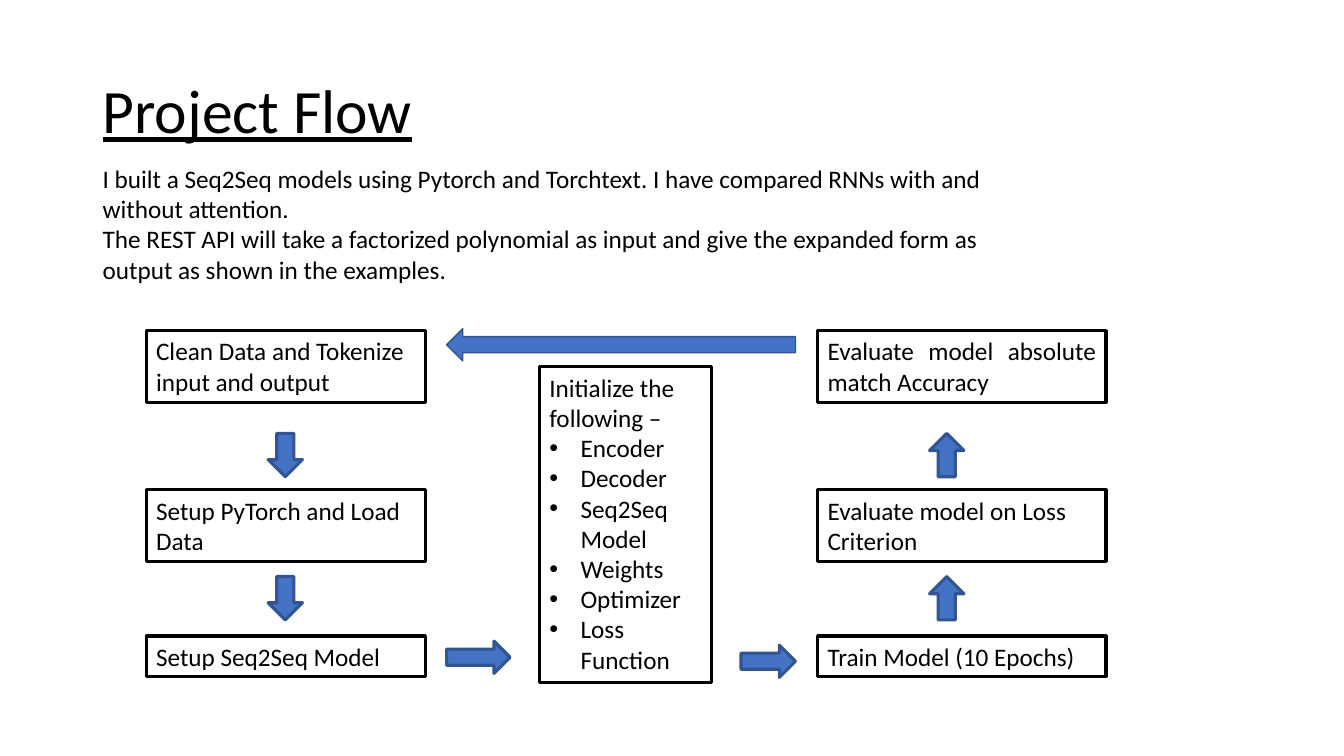
import pptx
import pptx.util
import pptx.dml.color
import pptx.enum.shapes
import pptx.enum.text
import lxml.etree

Inches = pptx.util.Inches
Pt = pptx.util.Pt
RGBColor = pptx.dml.color.RGBColor
SHAPE = pptx.enum.shapes.MSO_SHAPE
ALIGN = pptx.enum.text.PP_ALIGN
ANCHOR = pptx.enum.text.MSO_ANCHOR

# Content
TITLE = "Project Flow"
INTRODUCTION = [
    "I built a Seq2Seq models using Pytorch and Torchtext. "
    "I have compared RNNs with and without attention.",
    "The REST API will take a factorized polynomial as input and give "
    "the expanded form as output as shown in the examples.",
]
PREPARATION = [
    ("Clean Data and Tokenize input and output", ALIGN.LEFT),
    ("Setup PyTorch and Load Data", ALIGN.LEFT),
    ("Setup Seq2Seq Model", ALIGN.LEFT),
]
EVALUATION = [
    ("Evaluate model absolute match Accuracy", ALIGN.JUSTIFY),
    ("Evaluate model on Loss Criterion", ALIGN.LEFT),
    ("Train Model (10 Epochs)", ALIGN.JUSTIFY),
]
INITIALIZE = "Initialize the following –"
COMPONENTS = ["Encoder", "Decoder", "Seq2Seq Model", "Weights", "Optimizer", "Loss Function"]

THEME = {
    "font": "Calibri",
    "text": RGBColor(0, 0, 0),
    "arrow": RGBColor(0x44, 0x72, 0xC4),
    "arrow_line": RGBColor(0x32, 0x54, 0x91),
    "title_size": Pt(44),
    "body_size": Pt(18),
    "line": Pt(2.25),
    "thin_line": Pt(1),
}

# Layout in inches
ROWS = [(3.28, 0.71), (4.86, 0.71), (6.31, 0.4)]  # top, height
COLUMNS = [  # left, width, steps, arrow shape, arrow centre
    (1.45, 2.77, PREPARATION, SHAPE.DOWN_ARROW, 2.83),
    (8.11, 2.86, EVALUATION, SHAPE.UP_ARROW, 9.39),
]
VERTICAL_ARROW_TOPS = [4.3, 5.72]
ARROW_WIDTH, ARROW_LENGTH = 0.34, 0.43
HORIZONTAL_ARROWS = [
    (SHAPE.RIGHT_ARROW, (4.43, 6.36, 0.63, 0.32), "line"),
    (SHAPE.RIGHT_ARROW, (7.35, 6.4, 0.54, 0.32), "line"),
    (SHAPE.LEFT_ARROW, (4.43, 3.26, 3.46, 0.32), "thin_line"),
]
INDENT = Inches(0.31)

presentation = pptx.Presentation()
presentation.slide_width = Inches(13.33)
presentation.slide_height = Inches(7.5)
slide = presentation.slides.add_slide(presentation.slide_layouts[6])


def write(shape, paragraphs, size="body_size", anchor=ANCHOR.TOP, **formats):
    """Fill a shape with (text, alignment) paragraphs and return them."""
    frame = shape.text_frame
    frame.word_wrap = True
    frame.vertical_anchor = anchor
    font_values = {"name": THEME["font"], "size": THEME[size], **formats}
    for index, (text, alignment) in enumerate(paragraphs):
        paragraph = frame.add_paragraph() if index else frame.paragraphs[0]
        paragraph.alignment = alignment
        run = paragraph.add_run()
        run.text = text
        for name, value in font_values.items():
            setattr(run.font, name, value)
        run.font.color.rgb = THEME["text"]
    return frame.paragraphs


def add_text(box, paragraphs, **formats):
    shape = slide.shapes.add_textbox(*map(Inches, box))
    return write(shape, paragraphs, **formats)


def add_step(box, paragraphs):
    shape = slide.shapes.add_shape(SHAPE.RECTANGLE, *map(Inches, box))
    shape.shadow.inherit = False
    shape.fill.background()
    shape.line.color.rgb = THEME["text"]
    shape.line.width = THEME["line"]
    return write(shape, paragraphs)


def add_arrow(kind, box, line="line"):
    shape = slide.shapes.add_shape(kind, *map(Inches, box))
    shape.shadow.inherit = False
    shape.fill.solid()
    shape.fill.fore_color.rgb = THEME["arrow"]
    shape.line.color.rgb = THEME["arrow_line"]
    shape.line.width = THEME[line]


def add_bullet(paragraph):
    properties = paragraph._p.get_or_add_pPr()
    properties.set("marL", str(INDENT))
    properties.set("indent", str(-INDENT))
    for tag, name, value in [("a:buFont", "typeface", "Arial"), ("a:buChar", "char", "•")]:
        lxml.etree.SubElement(properties, pptx.oxml.ns.qn(tag)).set(name, value)


# Title and introduction
title = add_text((0.92, 0.4, 11.5, 1.45), [(TITLE, ALIGN.LEFT)],
                 size="title_size", anchor=ANCHOR.MIDDLE, underline=True)
title[0].line_spacing = 0.9
add_text((0.92, 1.57, 9.51, 1.31), [(text, ALIGN.LEFT) for text in INTRODUCTION])

# Step columns with the arrows between their rows
for left, width, steps, arrow, centre in COLUMNS:
    for (top, height), step in zip(ROWS, steps):
        add_step((left, top, width, height), [step])
    for top in VERTICAL_ARROW_TOPS:
        add_arrow(arrow, (centre - ARROW_WIDTH / 2, top, ARROW_WIDTH, ARROW_LENGTH))

# Initialization step with its bulleted components
lines = [(text, ALIGN.LEFT) for text in [INITIALIZE, *COMPONENTS]]
for paragraph in add_step((5.35, 3.64, 1.71, 3.13), lines)[1:]:
    add_bullet(paragraph)

# Arrows between the columns
for kind, box, line in HORIZONTAL_ARROWS:
    add_arrow(kind, box, line)

presentation.save("out.pptx")
